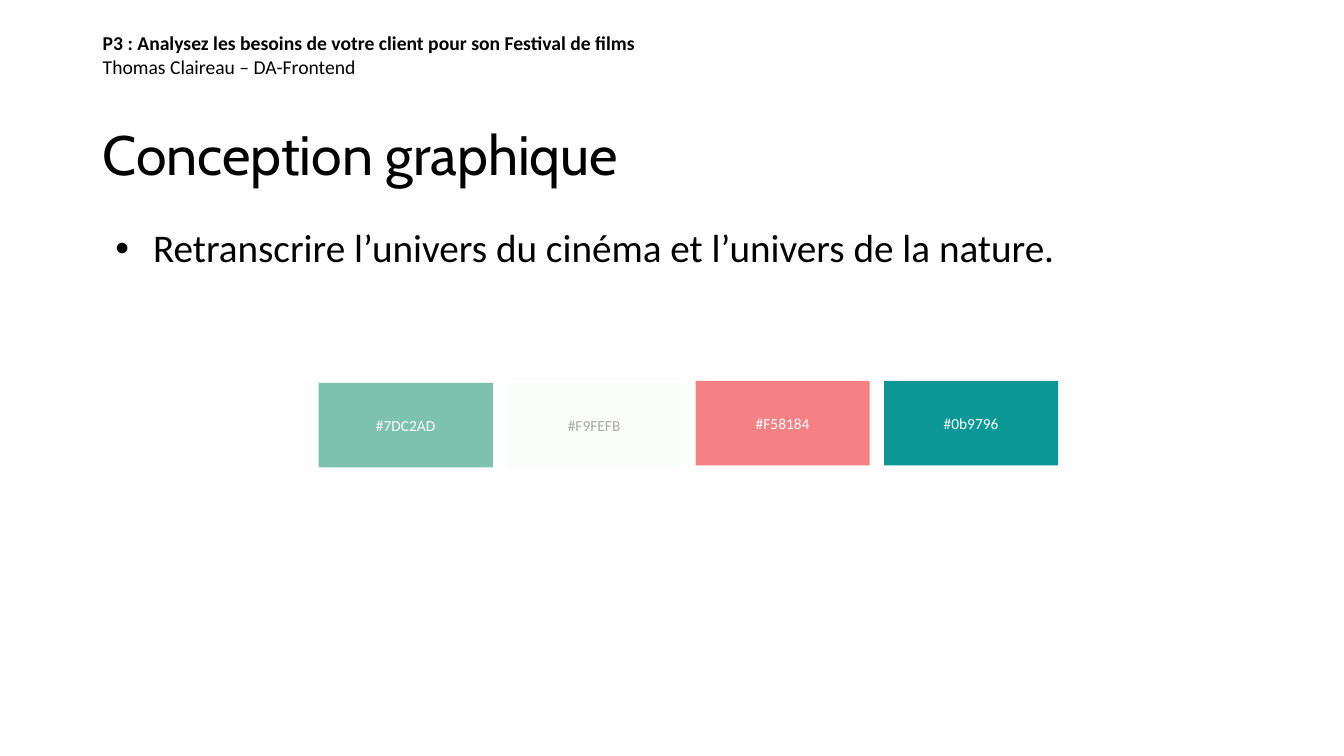
import pptx
import pptx.util
import pptx.dml.color
import pptx.enum.shapes
import pptx.enum.text
import pptx.oxml

Cm = pptx.util.Cm
Pt = pptx.util.Pt
ALIGN = pptx.enum.text.PP_ALIGN
ANCHOR = pptx.enum.text.MSO_ANCHOR

COLORS = {
    "ink": "000000",
    "grey": "A9A9A9",
    "mint": "7DC2AD",
    "snow": "F9FEFB",
    "coral": "F58184",
    "teal": "0B9796",
}

PALETTE = [
    ("#7DC2AD", "mint", "snow", 0.05),
    ("#F9FEFB", "snow", "grey", 0.05),
    ("#F58184", "coral", "snow", 0),
    ("#0b9796", "teal", "snow", 0),
]


def rgb(name):
    return pptx.dml.color.RGBColor.from_string(COLORS[name])


def add_box(slide, left, top, width, height, anchor=ANCHOR.TOP):
    box = slide.shapes.add_textbox(Cm(left), Cm(top), Cm(width), Cm(height))
    frame = box.text_frame
    frame.word_wrap = True
    frame.vertical_anchor = anchor
    return frame


def add_run(paragraph, text, size, color="ink", font="Calibri", bold=False):
    run = paragraph.add_run()
    run.text = text
    run.font.name = font
    run.font.size = Pt(size)
    run.font.bold = bold
    run.font.color.rgb = rgb(color)


def add_project_header(slide, left, top, width, height):
    project = add_box(slide, left, top, width, height).paragraphs[0]
    add_run(project, "P3 : Analysez les besoins de votre client pour son Festival de films", 14, bold=True)
    project.add_line_break()
    add_run(project, "Thomas Claireau – DA-Frontend", 14)


def add_title(slide, left, top, width, height):
    title = add_box(slide, left, top, width, height, ANCHOR.MIDDLE).paragraphs[0]
    title.line_spacing = 0.9
    add_run(title, "Conception graphique", 39.6, font="Cabin")


def add_intent(slide, left, top, width, height):
    intent = add_box(slide, left, top, width, height).paragraphs[0]
    intent.line_spacing = 0.9
    properties = intent._p.get_or_add_pPr()
    properties.set("marL", str(Cm(1.27)))
    properties.set("indent", str(-Cm(0.95)))
    namespace = 'xmlns:a="http://schemas.openxmlformats.org/drawingml/2006/main"'
    for bullet in (
        f'<a:buClr {namespace}><a:srgbClr val="{COLORS["ink"]}"/></a:buClr>',
        f'<a:buFont {namespace} typeface="Arial"/>',
        f'<a:buChar {namespace} char="•"/>',
    ):
        properties.append(pptx.oxml.parse_xml(bullet))
    add_run(intent, "Retranscrire l’univers du cinéma et l’univers de la nature.", 28)


def add_swatch(slide, left, top, width, height, code, fill, ink):
    swatch = slide.shapes.add_shape(
        pptx.enum.shapes.MSO_SHAPE.RECTANGLE, Cm(left), Cm(top), Cm(width), Cm(height))
    swatch.shadow.inherit = False
    swatch.fill.solid()
    swatch.fill.fore_color.rgb = rgb(fill)
    swatch.line.fill.background()

    label_width, label_height = 2.84, 1.04
    frame = add_box(slide, left + (width - label_width) / 2, top + (height - label_height) / 2,
                    label_width, label_height, ANCHOR.MIDDLE)
    label = frame.paragraphs[0]
    label.alignment = ALIGN.CENTER
    label.line_spacing = 1.07
    label.space_after = Pt(8)
    add_run(label, code, 11, ink)


def add_palette(slide, left, top, width, height):
    gap = 0.36
    swatch_width = (width - gap * (len(PALETTE) - 1)) / len(PALETTE)
    for column, (code, fill, ink, drop) in enumerate(PALETTE):
        add_swatch(slide, left + column * (swatch_width + gap), top + drop,
                   swatch_width, height, code, fill, ink)


def main():
    deck = pptx.Presentation()
    deck.slide_width = Cm(33.87)
    deck.slide_height = Cm(19.05)
    slide = deck.slides.add_slide(deck.slide_layouts[6])
    add_project_header(slide, 2.34, 0.66, 17.07, 1.45)
    add_title(slide, 2.34, 2.67, 29.21, 2.59)
    add_intent(slide, 2.34, 5.64, 30.61, 3.58)
    add_palette(slide, 8.03, 9.6, 18.64, 2.13)
    deck.save("out.pptx")


if __name__ == "__main__":
    main()
